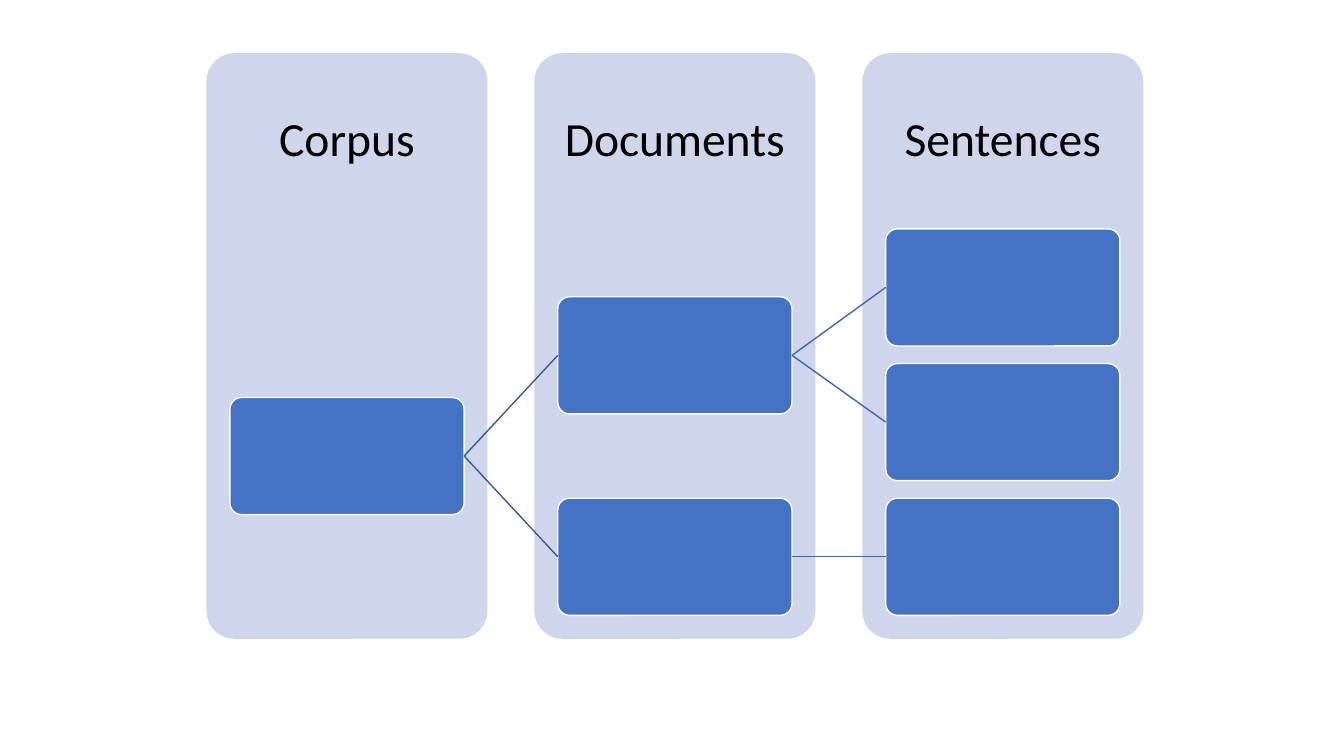
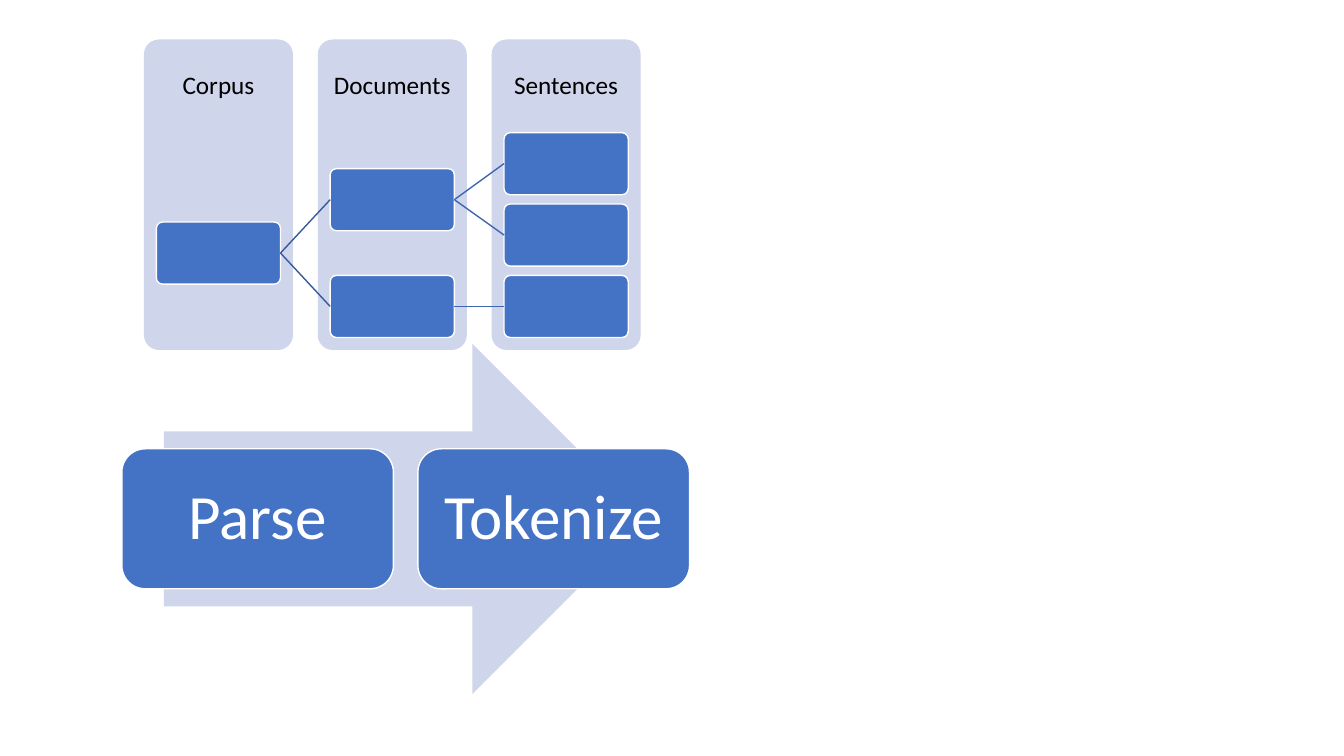
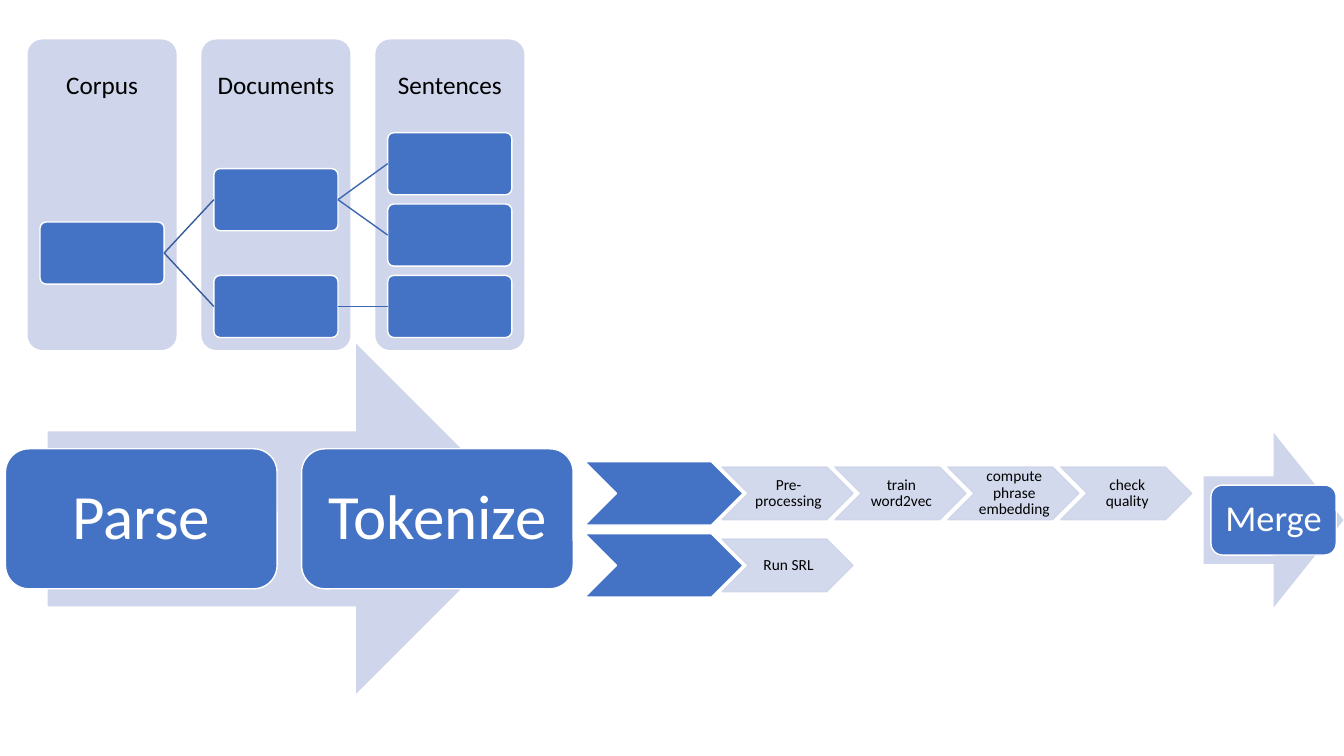
from lxml import etree
from pptx import Presentation
from pptx.dml.color import RGBColor
from pptx.enum import shapes, text
from pptx.oxml.ns import qn
from pptx.util import Pt

# Shared look
FONT = "Calibri"
BLUE = RGBColor(0x44, 0x72, 0xC4)
PALE = RGBColor(0xCF, 0xD5, 0xEA)
WHITE = RGBColor(0xFF, 0xFF, 0xFF)
BLACK = RGBColor(0x00, 0x00, 0x00)
FIRST_LINK = RGBColor(0x36, 0x5B, 0x9D)
SECOND_LINK = RGBColor(0x3E, 0x67, 0xB2)
PRESET = shapes.MSO_SHAPE

# Tree: levels, box centres in box widths, and parent and child numbers
LEVELS = [("Corpus", [1.72]), ("Documents", [1.29, 2.15]), ("Sentences", [1, 1.575, 2.15])]
LINKS = [(0, 0, 0), (0, 0, 1), (1, 0, 0), (1, 0, 1), (1, 1, 2)]
LINK_COLORS = [FIRST_LINK, SECOND_LINK]

TRACKS = [["Pre-processing", "train word2vec", "compute phrase embedding", "check quality"],
          ["Run SRL"]]


def write(shape, words, size, color):
    """Centre one paragraph in a shape."""
    frame = shape.text_frame
    frame.word_wrap = True
    frame.vertical_anchor = text.MSO_ANCHOR.MIDDLE
    frame.margin_left = frame.margin_right = frame.margin_top = frame.margin_bottom = 0
    frame.text = words
    paragraph = frame.paragraphs[0]
    paragraph.alignment = text.PP_ALIGN.CENTER
    paragraph.line_spacing = 0.9
    font = paragraph.runs[0].font
    font.name, font.size = FONT, Pt(size)
    font.color.rgb = color


def add_block(slide, preset, left, top, width, height, fill=BLUE, line=WHITE, corner=None):
    shape = slide.shapes.add_shape(preset, Pt(left), Pt(top), Pt(width), Pt(height))
    shape.shadow.inherit = False
    shape.fill.solid()
    shape.fill.fore_color.rgb = fill
    if line is None:
        shape.line.fill.background()
    else:
        shape.line.color.rgb = line
        shape.line.width = Pt(1)
    if corner is not None:
        shape.adjustments[0] = corner
    return shape


def make_translucent(shape, percent):
    """Set the opacity of a shape's fill and line."""
    for color in shape._element.spPr.iter(qn("a:srgbClr")):
        etree.SubElement(color, qn("a:alpha")).set("val", str(percent * 1000))


def add_link(slide, parent, child, color):
    """Join the right side of one box to the left side of another."""
    link = slide.shapes.add_connector(shapes.MSO_CONNECTOR.STRAIGHT, 0, 0, 0, 0)
    link.begin_connect(parent, 3)
    link.end_connect(child, 1)
    link.line.color.rgb = color
    link.line.width = Pt(1)
    etree.SubElement(link._element.spPr, qn("a:effectLst"))


def add_tree(slide, left, top, box_width, size):
    """Columns with headings and linked boxes, all scaled by the box width."""
    column_width = 1.2 * box_width
    boxes = []
    for level, (heading, centres) in enumerate(LEVELS):
        column_left = left + level * 1.4 * box_width
        add_block(slide, PRESET.ROUNDED_RECTANGLE, column_left, top,
                  column_width, 2.5 * box_width, PALE, None, 0.1)
        label = slide.shapes.add_textbox(Pt(column_left), Pt(top),
                                         Pt(column_width), Pt(0.75 * box_width))
        write(label, heading, size, BLACK)
        boxes.append([
            add_block(slide, PRESET.ROUNDED_RECTANGLE, column_left + 0.1 * box_width,
                      top + (centre - 0.25) * box_width, box_width, box_width / 2, corner=0.1)
            for centre in centres])
    for level, parent, child in LINKS:
        add_link(slide, boxes[level][parent], boxes[level + 1][child], LINK_COLORS[level])


def add_process(slide, left, top, width, height, steps, box_width, gap, size):
    """Broad arrow with a centred row of step boxes on it."""
    add_block(slide, PRESET.RIGHT_ARROW, left, top, width, height, PALE, None)
    row_width = len(steps) * (box_width + gap) - gap
    first = left + (width - row_width) / 2
    for number, step in enumerate(steps):
        box = add_block(slide, PRESET.ROUNDED_RECTANGLE, first + number * (box_width + gap),
                        top + 0.3 * height, box_width, 0.4 * height)
        write(box, step, size, WHITE)


def add_track(slide, left, top, steps):
    """Blue chevron followed by pale step chevrons."""
    add_block(slide, PRESET.CHEVRON, left, top, 113, 45.2)
    for number, step in enumerate(steps):
        chevron = add_block(slide, PRESET.CHEVRON, left + 98 + number * 80.64, top + 3.8,
                            93.6, 37.6, PALE, PALE)
        make_translucent(chevron, 90)
        write(chevron, step, 11, BLACK)
        chevron.text_frame.margin_left = Pt(1.4)


def add_preparation(slide, left):
    """Small tree above the parse and tokenize arrow."""
    add_tree(slide, left, 28.2, 88.7, 18)
    add_process(slide, left + 14.3, 245.6, 345.4, 250, ["Parse", "Tokenize"], 194, 17.5, 45)


def main():
    presentation = Presentation()
    presentation.slide_width, presentation.slide_height = Pt(960), Pt(540)
    blank = presentation.slide_layouts[6]
    tree_slide, preparation_slide, pipeline_slide = [
        presentation.slides.add_slide(blank) for _ in range(3)]

    # Corpus tree
    add_tree(tree_slide, 147.5, 38, 167.3, 34)

    # Parse and tokenize
    add_preparation(preparation_slide, 102.8)

    # Full pipeline
    add_preparation(pipeline_slide, 19.7)
    for number, steps in enumerate(TRACKS):
        add_track(pipeline_slide, 417.8, 329.8 + number * 51.5, steps)
    add_process(pipeline_slide, 859.7, 309, 100, 125, ["Merge"], 89.5, 0, 26)

    presentation.save("out.pptx")


if __name__ == "__main__":
    main()
